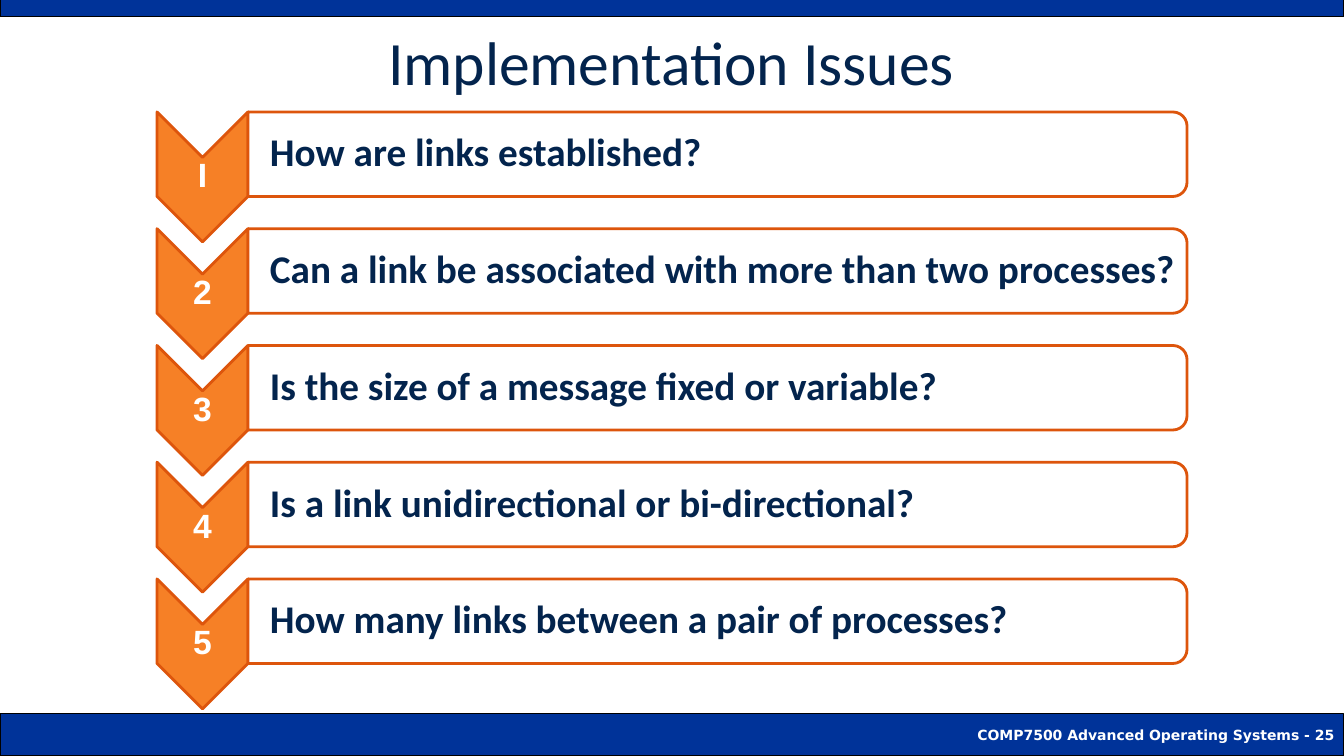
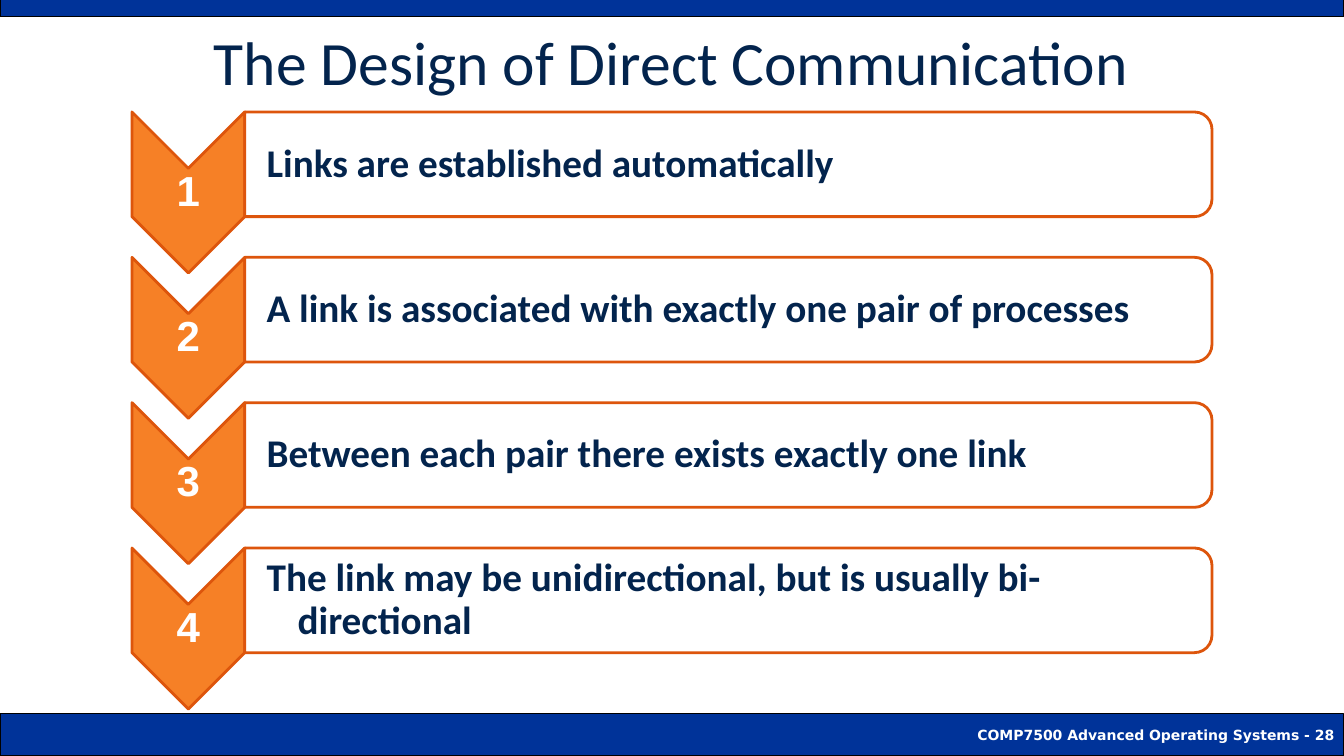
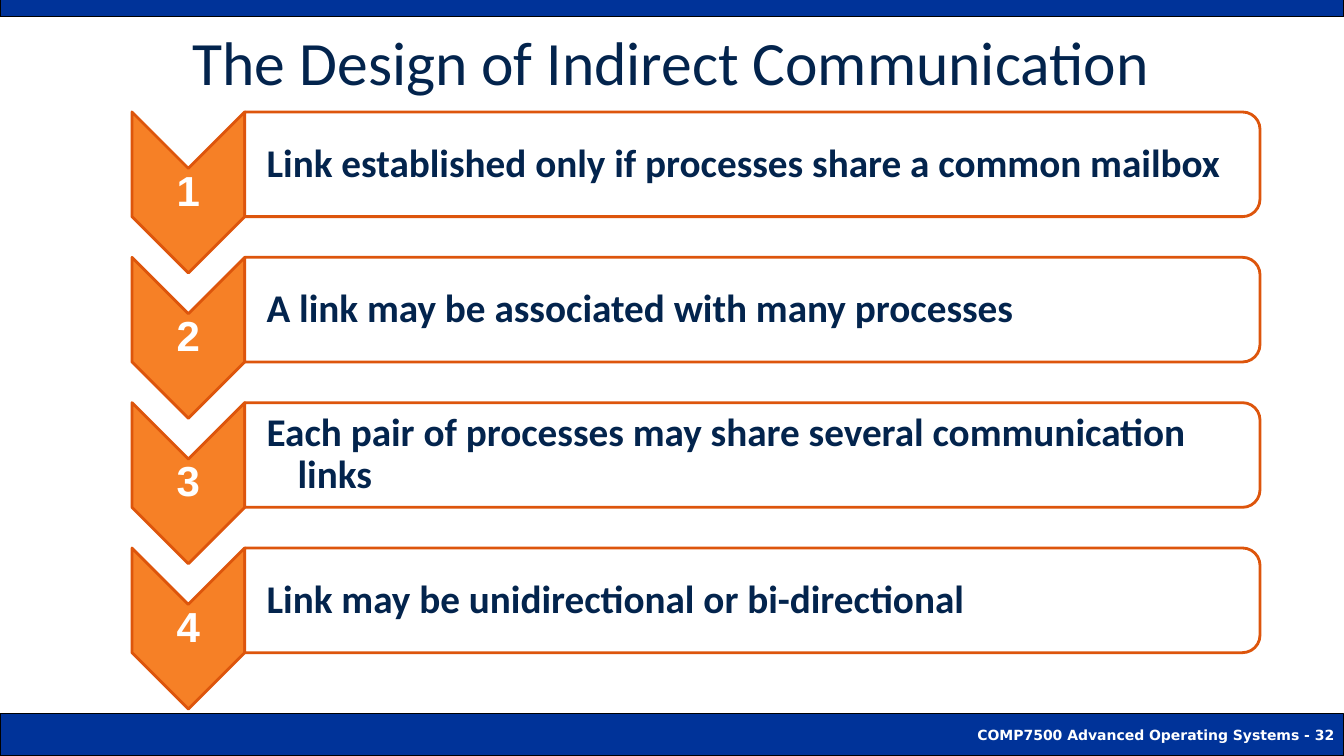
from dataclasses import dataclass

from pptx import Presentation
from pptx.dml.color import RGBColor
from pptx.enum.shapes import MSO_SHAPE
from pptx.enum.text import MSO_ANCHOR, MSO_AUTO_SIZE, PP_ALIGN
from pptx.util import Pt

RECT = MSO_SHAPE.RECTANGLE
CHEVRON = MSO_SHAPE.CHEVRON
ROUND_TOP = MSO_SHAPE.ROUND_2_SAME_RECTANGLE
LEFT, CENTER, RIGHT = PP_ALIGN.LEFT, PP_ALIGN.CENTER, PP_ALIGN.RIGHT
MIDDLE = MSO_ANCHOR.MIDDLE
NO_FIT = MSO_AUTO_SIZE.NONE

SCALE = 914400 / 100.8  # EMU in one px
WIDTH, HEIGHT = 1344, 756


@dataclass(frozen=True)
class Theme:
    navy: str = "03244D"
    blue: str = "003399"
    orange: str = "F68026"
    rust: str = "DD550C"
    white: str = "FFFFFF"
    black: str = "000000"
    body_font: str = "Calibri"
    number_font: str = "Arial"
    footer_font: str = "DejaVu Sans"
    title_size: int = 44
    body_size: int = 28
    footer_size: int = 10
    shape_line: float = 2
    band_line: float = 0.75


T = Theme()
COURSE = "COMP7500 Advanced Operating Systems"
LIST_TOP, LIST_HEIGHT = 112, 597

SLIDES = [
    dict(title="Implementation Issues", page=25, left=157, width=1030,
         chevron=130, number_size=24,
         items=[("I", "How are links established?"),
                ("2", "Can a link be associated with more than two processes?"),
                ("3", "Is the size of a message fixed or variable?"),
                ("4", "Is a link unidirectional or bi-directional?"),
                ("5", "How many links between a pair of processes?")]),
    dict(title="The Design of Direct Communication", page=28, left=132, width=1080,
         chevron=161, number_size=30,
         items=[("1", "Links are established automatically"),
                ("2", "A link is associated with exactly one pair of processes"),
                ("3", "Between each pair there exists exactly one link"),
                ("4", "The link may be unidirectional, but is usually bi-directional")]),
    dict(title="The Design of Indirect Communication", page=32, left=132, width=1128,
         chevron=161, number_size=30,
         items=[("1", "Link established only if processes share a common mailbox"),
                ("2", "A link may be associated with many processes"),
                ("3", "Each pair of processes may share several communication links"),
                ("4", "Link may be unidirectional or bi-directional")]),
]


def px(value):
    return round(value * SCALE)


def place(sp, x, y, w, h):
    sp.left, sp.top, sp.width, sp.height = px(x), px(y), px(w), px(h)


def write(tf, text, *, font, size, color, bold=True, align=LEFT,
          insets=None, spacing=None, after=None, hanging=0):
    """Fill a text frame with one formatted paragraph."""
    tf.word_wrap = True
    tf.auto_size = NO_FIT
    tf.vertical_anchor = MIDDLE
    if insets:
        (tf.margin_left, tf.margin_top,
         tf.margin_right, tf.margin_bottom) = map(px, insets)
    p = tf.paragraphs[0]
    p.alignment = align
    if spacing:
        p.line_spacing = spacing
    if after:
        p.space_after = Pt(after)
    if hanging:
        pPr = p._p.get_or_add_pPr()
        pPr.set("marL", str(px(hanging)))
        pPr.set("indent", str(-px(hanging)))
    r = p.add_run()
    r.text = text
    r.font.name, r.font.size, r.font.bold = font, Pt(size), bold
    r.font.color.rgb = RGBColor.from_string(color)


def add_shape(slide, kind, x, y, w, h, *, fill, line, weight, turned=False):
    """Draw a preset shape; a turned one fills the box after a quarter turn."""
    if turned:
        x, y, w, h = x + (w - h) / 2, y + (h - w) / 2, h, w
    sp = slide.shapes.add_shape(kind, px(x), px(y), px(w), px(h))
    sp.rotation = 90 if turned else 0
    sp.shadow.inherit = False
    sp.fill.solid()
    sp.fill.fore_color.rgb = RGBColor.from_string(fill)
    sp.line.color.rgb = RGBColor.from_string(line)
    sp.line.width = Pt(weight)
    return sp


def add_text(slide, x, y, w, h, text, **fmt):
    sp = slide.shapes.add_textbox(px(x), px(y), px(w), px(h))
    write(sp.text_frame, text, **fmt)


def add_frame(slide, title, page):
    """Bands, footer and title shared by every slide."""
    band = dict(fill=T.blue, line=T.black, weight=T.band_line)
    footer = add_shape(slide, RECT, 0, HEIGHT - 42, WIDTH, 42, **band)
    write(footer.text_frame, f"{COURSE} - {page}", font=T.footer_font,
          size=T.footer_size, color=T.white, align=RIGHT)
    add_shape(slide, RECT, 0, 0, WIDTH, 17, **band)
    write(slide.shapes.title.text_frame, title, font=T.body_font,
          size=T.title_size, color=T.navy, bold=False, align=CENTER)


def add_row(slide, x, y, w, h, number, text, number_size):
    """One numbered chevron of height h with its bar to the right."""
    chevron_w, bar_h = h * 0.7, h * 0.65
    bar_x, bar_w = x + chevron_w, w - chevron_w
    outline = dict(line=T.rust, weight=T.shape_line, turned=True)

    add_shape(slide, CHEVRON, x, y, chevron_w, h, fill=T.orange, **outline)
    add_text(slide, x, y + h * 0.35, chevron_w, h * 0.3, number,
             font=T.number_font, size=number_size, color=T.white, align=CENTER,
             insets=(2, 2, 2, 2), spacing=0.9, after=round(number_size * 0.35, 1))

    add_shape(slide, ROUND_TOP, bar_x, y, bar_w, bar_h, fill=T.white, **outline)
    add_text(slide, bar_x, y, bar_w, bar_h, text,
             font=T.body_font, size=T.body_size, color=T.navy,
             insets=(22, 2, 6, 2), spacing=0.9, after=T.body_size * 0.15, hanging=31)


def add_chevron_list(slide, x, y, w, h, items, chevron, number_size):
    """Spread the rows evenly over the height of the box."""
    pitch = (h - chevron) / (len(items) - 1)
    for i, (number, text) in enumerate(items):
        add_row(slide, x, y + i * pitch, w, chevron, number, text, number_size)


def main():
    prs = Presentation()
    prs.slide_width, prs.slide_height = px(WIDTH), px(HEIGHT)
    layout = prs.slide_layouts[5]  # title only
    place(layout.placeholders[0], 33, 2, 1277, 118)

    for data in SLIDES:
        slide = prs.slides.add_slide(layout)
        add_frame(slide, data["title"], data["page"])
        add_chevron_list(slide, data["left"], LIST_TOP, data["width"], LIST_HEIGHT,
                         data["items"], data["chevron"], data["number_size"])
    prs.save("out.pptx")


if __name__ == "__main__":
    main()
